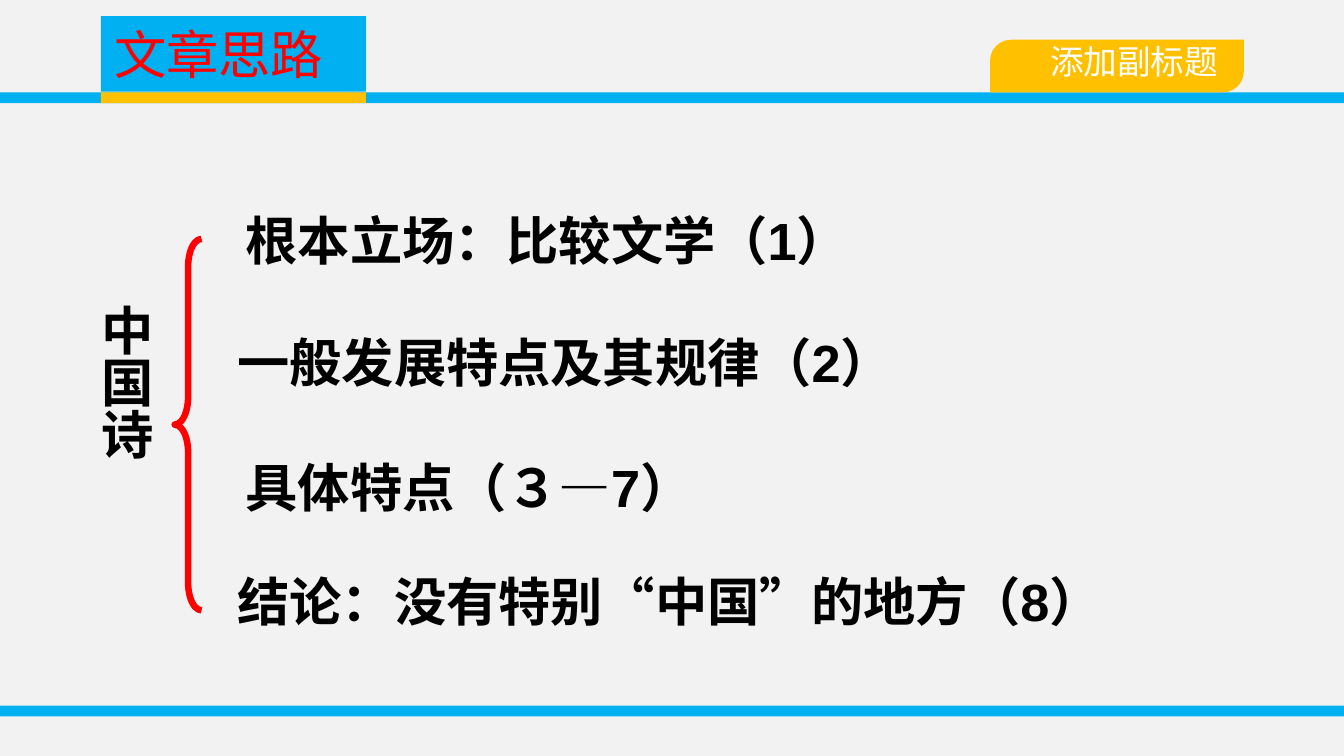
import pptx
import pptx.util
import pptx.dml.color
import pptx.enum.shapes
import pptx.enum.text

Pt = pptx.util.Pt
Shapes = pptx.enum.shapes.MSO_SHAPE
Align = pptx.enum.text.PP_ALIGN
Anchor = pptx.enum.text.MSO_ANCHOR

WIDTH, HEIGHT = 720, 405
BLUE, YELLOW, RED = "00B0F0", "FFC000", "FF0000"


def rgb(value):
    return pptx.dml.color.RGBColor.from_string(value)


def place(shape, left, top, width, height):
    shape.left, shape.top = Pt(left), Pt(top)
    shape.width, shape.height = Pt(width), Pt(height)


def paint(shape, fill):
    shape.fill.solid()
    shape.fill.fore_color.rgb = rgb(fill)
    shape.line.fill.background()


def add_block(page, kind, left, top, width, height, fill):
    block = page.shapes.add_shape(kind, Pt(left), Pt(top), Pt(width), Pt(height))
    block.shadow.inherit = False
    paint(block, fill)
    return block


def write(box, text, size, color, bold=False, align=Align.LEFT, anchor=Anchor.TOP):
    frame = box.text_frame
    frame.word_wrap = True
    frame.vertical_anchor = anchor
    para = frame.paragraphs[0]
    para.text = text
    para.alignment = align
    para.font.name = "Arial"
    para.font.size = Pt(size)
    para.font.bold = bold
    para.font.color.rgb = rgb(color)


def add_text(page, text, left, top, width, height):
    box = page.shapes.add_textbox(Pt(left), Pt(top), Pt(width), Pt(height))
    write(box, text, 28, "000000", bold=True)
    return box


def add_header(page, left, top, width, height):
    """Title block, subtitle tag and the band beneath them."""
    band = 5.8
    band_top = top + height - band
    add_block(page, Shapes.RECTANGLE, left, band_top, width, band, BLUE)
    add_block(page, Shapes.RECTANGLE, left + 54, band_top, 142, band, YELLOW)

    # Title
    title = page.shapes.title
    place(title, left + 54, top, 142, 40.5)
    paint(title, BLUE)
    write(title, "文章思路", 28, RED, anchor=Anchor.MIDDLE)

    # Subtitle tag
    tag = add_block(page, Shapes.ROUND_2_DIAG_RECTANGLE,
                    left + 530.4, band_top - 28.2, 136, 28.2, YELLOW)
    tag.adjustments[0] = 0.4
    write(tag, "添加副标题", 18, "FFFFFF", align=Align.RIGHT, anchor=Anchor.MIDDLE)
    frame = tag.text_frame
    frame.margin_top, frame.margin_bottom, frame.margin_right = 0, Pt(5), Pt(10.5)


def add_outline(page, left, top, width):
    """Vertical topic, brace and the four points it gathers."""
    # Topic
    topic = add_text(page, "中国诗", left, top + 48, 48, 125.5)
    topic.text_frame._txBody.bodyPr.set("vert", "eaVert")

    # Brace
    brace = page.shapes.add_shape(Shapes.LEFT_BRACE, Pt(left + 54), Pt(top + 20),
                                  Pt(14.4), Pt(199))
    brace.shadow.inherit = False
    brace.fill.background()
    brace.line.color.rgb = rgb(RED)
    brace.line.width = Pt(3.5)
    brace.adjustments[0] = 1.03

    # Points: text, indent, offset from the top
    points = [
        ("根本立场：比较文学（1）", 85, 0),
        ("一般发展特点及其规律（2）", 80.6, 65.5),
        ("具体特点（３—7）", 85, 132.5),
        ("结论：没有特别“中国”的地方（8）", 80.6, 193.7),
    ]
    for text, indent, offset in points:
        add_text(page, text, left + indent, top + offset, width - indent, 41)


def main():
    deck = pptx.Presentation()
    deck.slide_width, deck.slide_height = Pt(WIDTH), Pt(HEIGHT)
    page = deck.slides.add_slide(deck.slide_layouts[5])
    page.background.fill.solid()
    page.background.fill.fore_color.rgb = rgb("F2F2F2")

    add_header(page, 0, 8.6, WIDTH, 46.7)
    add_outline(page, 39.6, 108, 658.8)
    # Footer band
    add_block(page, Shapes.RECTANGLE, 0, 378, WIDTH, 5.8, BLUE)
    deck.save("out.pptx")


if __name__ == "__main__":
    main()
